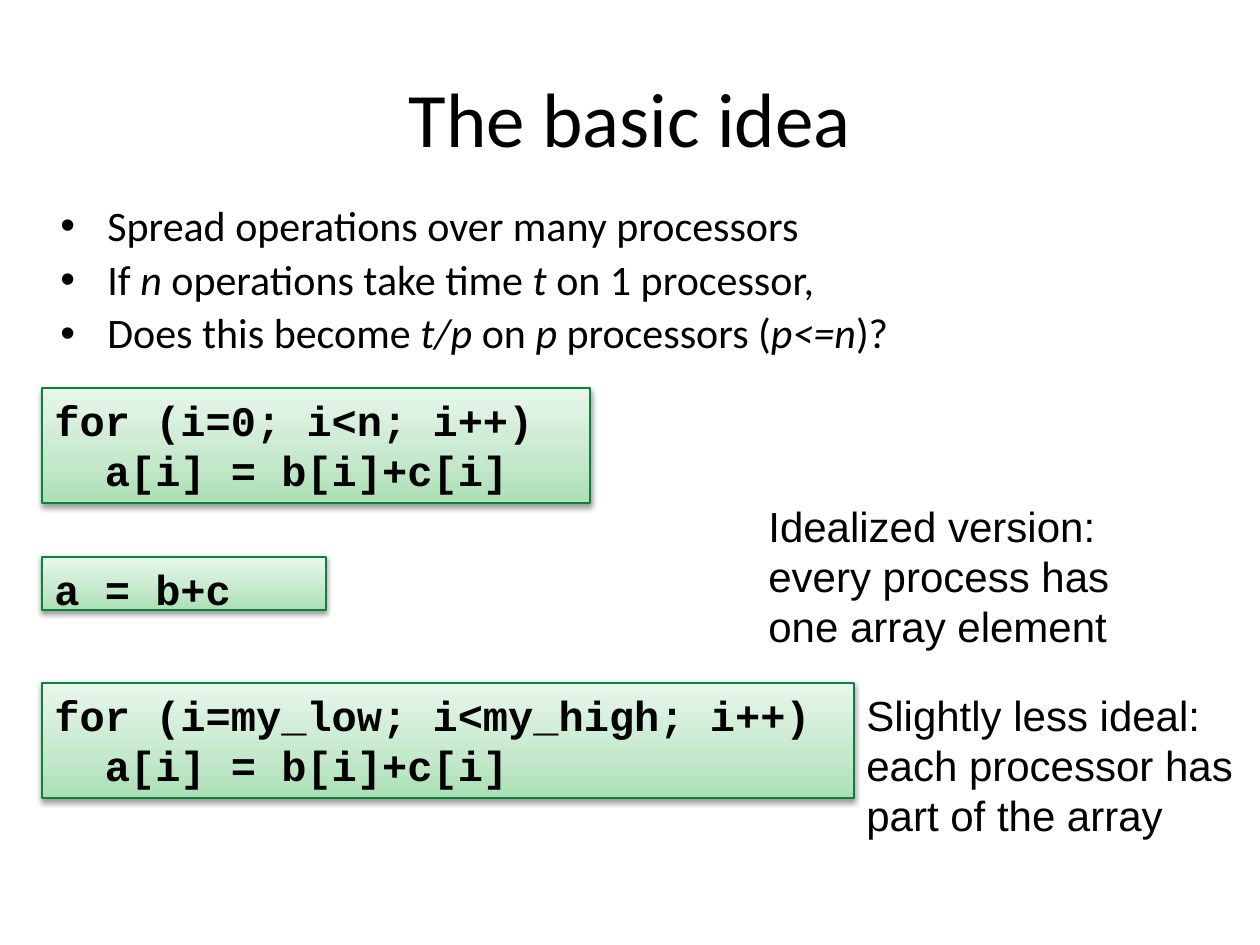
"""Build the slide that introduces the basic idea of parallel operations."""
from lxml import etree
from pptx import Presentation, util as u
from pptx.dml.color import RGBColor
from pptx.enum import shapes, text
from pptx.oxml import parse_xml
from pptx.oxml.ns import nsdecls, qn

SCALE = 914400 / 126
COLORS = {"ink": "000000", "border": "09853B", "top": "E8F7EB", "middle": "C4E8CB", "bottom": "AAE0B4"}
STOPS = [("top", 0), ("middle", 65), ("bottom", 100)]

TITLE = "The basic idea"
BULLETS = [
    ["Spread operations over many processors"],
    ["If ", "n", " operations take time ", "t", " on 1 processor,"],
    ["Does this become ", "t/p", " on ", "p", " processors (", "p<=n", ")?"],
]
CODE_LEFT = 42
CODE_BLOCKS = [
    (388, 548, 115, "for (i=0; i<n; i++)\n  a[i] = b[i]+c[i]"),
    (557, 284, 53, "a = b+c"),
    (683, 812, 115, "for (i=my_low; i<my_high; i++)\n  a[i] = b[i]+c[i]"),
]
REMARKS = [
    (756, 494, 436, 126, "Idealized version: every process has one array element"),
    (854, 683, 406, 165, "Slightly less ideal: each processor has part of the array"),
]


def px(length):
    return u.Emu(round(length * SCALE))


def style(frame, font, size=24, bold=False):
    frame.word_wrap = True
    for para in frame.paragraphs:
        para.alignment = text.PP_ALIGN.LEFT
        for span in para.runs:
            span.font.name, span.font.size, span.font.bold = font, u.Pt(size), bold
            span.font.color.rgb = RGBColor.from_string(COLORS["ink"])


def add_text(page, place, words, font, size=24):
    frame = page.shapes.add_textbox(*map(px, place)).text_frame
    frame.text = words
    style(frame, font, size)
    return frame


def add_bullets(page, place):
    frame = add_text(page, place, "\n".join("".join(parts) for parts in BULLETS), "Calibri")
    for para, parts in zip(frame.paragraphs, BULLETS):
        para.text = ""
        for index, part in enumerate(parts):
            span = para.add_run()
            span.text = part
            span.font.italic = index % 2 == 1
        para.line_spacing, para.space_before = 0.9, u.Pt(4.8)
        props = para._p.get_or_add_pPr()
        props.set("marL", str(px(47)))
        props.set("indent", str(-px(47)))
        etree.SubElement(props, qn("a:buFont")).set("typeface", "Arial")
        etree.SubElement(props, qn("a:buChar")).set("char", "•")
    style(frame, "Calibri")


def add_code(page, top, width, height, words):
    box = page.shapes.add_shape(shapes.MSO_SHAPE.RECTANGLE, *map(px, (CODE_LEFT, top, width, height)))
    stops = "".join(f'<a:gs pos="{pos * 1000}"><a:srgbClr val="{COLORS[name]}"/></a:gs>' for name, pos in STOPS)
    props = box._element.spPr
    props.insert(2, parse_xml(
        f'<a:gradFill {nsdecls("a")} rotWithShape="1"><a:gsLst>{stops}</a:gsLst>'
        '<a:lin ang="5400000" scaled="0"/></a:gradFill>'))
    box.line.color.rgb = RGBColor.from_string(COLORS["border"])
    box.line.width = u.Pt(1.5)
    props.append(parse_xml(
        f'<a:effectLst {nsdecls("a")}><a:outerShdw blurRad="{u.Pt(3.1)}" dist="{u.Pt(1.6)}" dir="5400000" '
        f'rotWithShape="0"><a:srgbClr val="{COLORS["ink"]}"><a:alpha val="38000"/></a:srgbClr>'
        '</a:outerShdw></a:effectLst>'))
    box.text_frame.text = words
    box.text_frame.vertical_anchor = text.MSO_ANCHOR.TOP
    style(box.text_frame, "Courier New", bold=True)


def main():
    deck = Presentation()
    deck.slide_width, deck.slide_height = px(1260), px(945)
    page = deck.slides.add_slide(deck.slide_layouts[6])
    title = add_text(page, (63, 38, 1134, 157), TITLE, "Calibri", 44)
    title.vertical_anchor = text.MSO_ANCHOR.MIDDLE
    title.paragraphs[0].alignment = text.PP_ALIGN.CENTER
    add_bullets(page, (48, 199, 1165, 231))
    for block in CODE_BLOCKS:
        add_code(page, *block)
    for *place, words in REMARKS:
        add_text(page, place, words, "Arial")
    deck.save("out.pptx")


if __name__ == "__main__":
    main()
